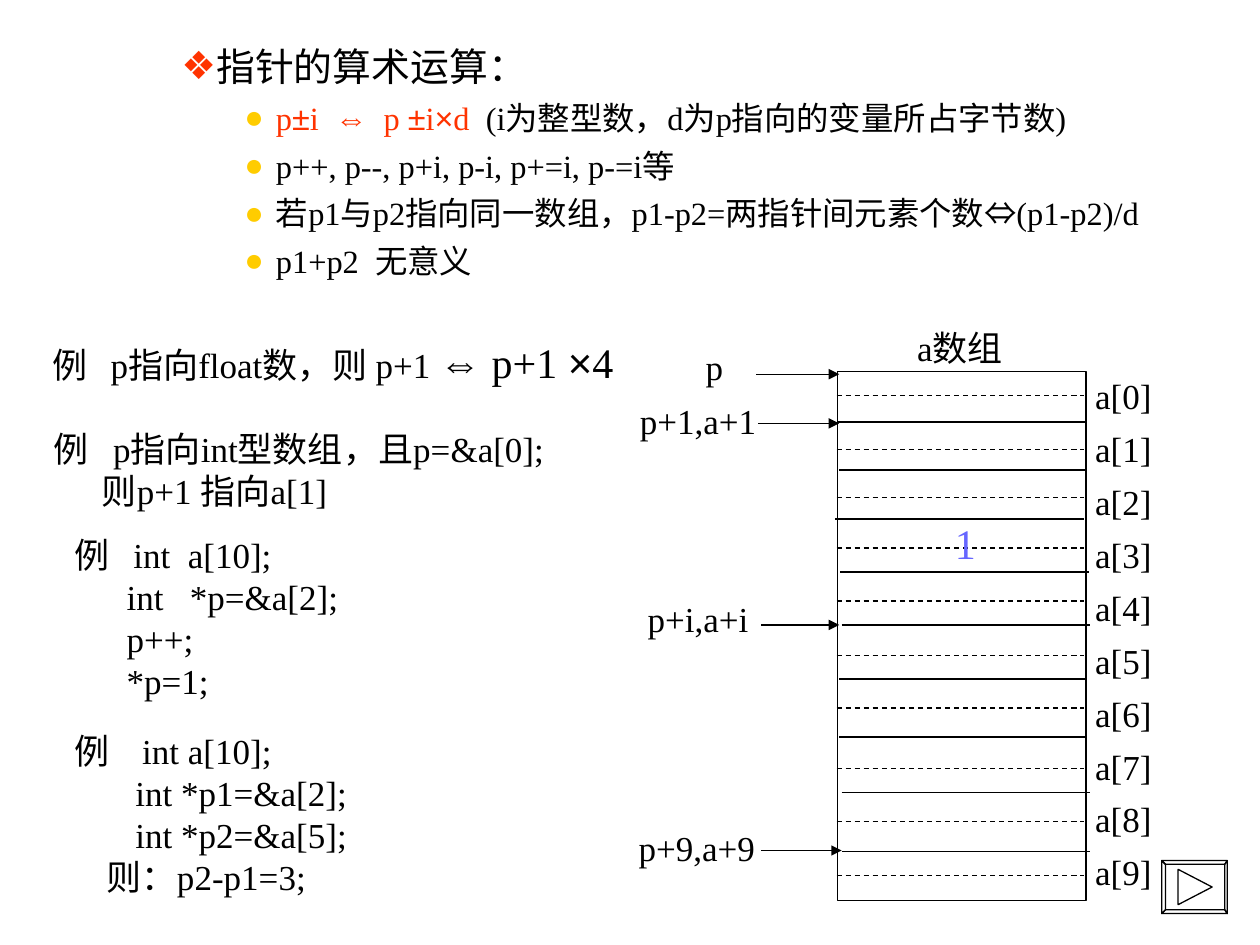
from lxml import etree
from pptx import Presentation
from pptx import util as u
from pptx.dml import color
from pptx.enum import dml, shapes, text
from pptx.oxml import ns

BLACK, RED, YELLOW, BLUE = "000000", "FF3300", "FFCC00", "6666FF"
SERIF, SANS = "Times New Roman", "Arial"
LABEL_HEIGHT = 0.44


def rgb(value):
    """Return the colour for a hex string."""
    return color.RGBColor.from_string(value)


def add_element(parent, tag, **attributes):
    """Append a drawing element to a parent and return it."""
    return etree.SubElement(parent, ns.qn(f"a:{tag}"), attributes)


def add_run(paragraph, words, size, font=SERIF, colour=BLACK):
    """Append one formatted run to a paragraph."""
    run = paragraph.add_run()
    run.text = words
    run.font.size = u.Pt(size)
    run.font.name = font
    run.font.color.rgb = rgb(colour)


def add_bullet(paragraph, symbol, colour, indent):
    """Give a paragraph a coloured bullet with a hanging indent."""
    properties = paragraph._p.get_or_add_pPr()
    properties.set("marL", str(u.Inches(indent)))
    properties.set("indent", str(u.Inches(-0.25)))
    add_element(add_element(properties, "buClr"), "srgbClr", val=colour)
    add_element(properties, "buSzPct", val="100000")
    add_element(properties, "buFont", typeface=SANS)
    add_element(properties, "buChar", char=symbol)


def add_tab(paragraph, position):
    """Set one left tab stop in a paragraph."""
    tabs = add_element(paragraph._p.get_or_add_pPr(), "tabLst")
    add_element(tabs, "tab", pos=str(u.Inches(position)), algn="l")


def fill_list(placeholder):
    """Place the body placeholder and write the rules of pointer arithmetic."""
    placeholder.left, placeholder.top = u.Inches(0.34), u.Inches(0.29)
    placeholder.width, placeholder.height = u.Inches(9.43), u.Inches(2.13)
    frame = placeholder.text_frame
    frame.auto_size = text.MSO_AUTO_SIZE.NONE
    frame.vertical_anchor = text.MSO_ANCHOR.TOP
    heading = frame.paragraphs[0]
    heading.level = 1
    add_bullet(heading, "❖", RED, 1.25)
    heading.space_before = u.Pt(0)
    add_run(heading, "指针的算术运算：", 22.2)
    formula = [("p", SERIF), ("±", SANS), ("i  ", SERIF), ("⇔", SANS),
               ("  p ", SERIF), ("±", SANS), ("i", SERIF), ("×", SANS), ("d", SERIF)]
    rules = [
        [(words, font, RED) for words, font in formula]
        + [("  (i为整型数，d为p指向的变量所占字节数)",)],
        [("p++, p--, p+i, p-i, p+=i, p-=i等",)],
        [("若p1与p2指向同一数组，p1-p2=两指针间元素个数",), ("⇔", SANS), ("(p1-p2)/d",)],
        [("p1+p2  无意义",)],
    ]
    for rule in rules:
        paragraph = frame.add_paragraph()
        paragraph.level = 2
        add_bullet(paragraph, "●", YELLOW, 1.75)
        paragraph.space_before = u.Pt(5)
        for words, *style in rule:
            add_run(paragraph, words, 18.5, *style)


def add_text_box(slide, left, top, width, height, anchor=text.MSO_ANCHOR.MIDDLE):
    """Add a text box of fixed size and return its text frame."""
    box = slide.shapes.add_textbox(*map(u.Inches, (left, top, width, height)))
    frame = box.text_frame
    frame.word_wrap = True
    frame.auto_size = text.MSO_AUTO_SIZE.NONE
    frame.margin_right = 0
    frame.vertical_anchor = anchor
    return frame


def add_example(slide, place, tab, lines, indent=0):
    """Add an example whose last line may be indented."""
    frame = add_text_box(slide, *place)
    paragraph = frame.paragraphs[0]
    add_tab(paragraph, tab)
    add_run(paragraph, lines[0], 20)
    for line in lines[1:]:
        paragraph = frame.add_paragraph()
        add_run(paragraph, line, 20)
    if indent:
        paragraph._p.get_or_add_pPr().set("marL", str(u.Inches(indent)))
    return frame


def add_label(slide, words, left, top, width):
    """Add a centred label beside the array."""
    frame = add_text_box(slide, left, top, width, LABEL_HEIGHT)
    frame.margin_left = 0
    paragraph = frame.paragraphs[0]
    paragraph.alignment = text.PP_ALIGN.CENTER
    add_run(paragraph, words, 20)


def add_line(slide, left, right, y, dashed=False, arrow=False):
    """Add a thin horizontal line, dashed or with an arrowhead if asked."""
    line = slide.shapes.add_connector(
        shapes.MSO_CONNECTOR.STRAIGHT, *map(u.Inches, (left, y, right, y)))
    line.line.color.rgb = rgb(BLACK)
    line.line.width = u.Pt(0.75)
    if dashed:
        line.line.dash_style = dml.MSO_LINE.DASH
    if arrow:
        add_element(line.line._get_or_add_ln(), "tailEnd", type="triangle")
    add_element(line._element.spPr, "effectLst")


def outline(shape):
    """Give a shape a thin black outline and no shadow."""
    shape.shadow.inherit = False
    shape.line.color.rgb = rgb(BLACK)
    shape.line.width = u.Pt(0.75)


def add_array(slide):
    """Draw the array with its cells, element names and pointers."""
    block = slide.shapes.add_shape(
        shapes.MSO_SHAPE.RECTANGLE, *map(u.Inches, (6.65, 2.95, 1.97, 4.2)))
    block.fill.solid()
    block.fill.fore_color.rgb = rgb("FFFFFF")
    outline(block)
    dividers = [(6.65, 3.35), (6.66, 3.73), (6.63, 4.12), (6.67, 4.54), (6.68, 4.96),
                (6.66, 5.39), (6.66, 5.85), (6.68, 6.29), (6.68, 6.76)]
    for left, y in dividers:
        add_line(slide, left, left + 1.97, y)
    for index in range(10):
        add_label(slide, f"a[{index}]", 8.59, 2.92 + 0.42 * index, 0.65)
    add_label(slide, "a数组", 7.15, 2.54, 0.94)
    pointers = [("p", 5.5, 2.69, 0.34, 6, 6.66, 2.97),
                ("p+1,a+1", 4.98, 3.12, 1.12, 6.02, 6.66, 3.36),
                ("p+i,a+i", 5.04, 4.69, 1, 6.04, 6.66, 4.96),
                ("p+9,a+9", 4.97, 6.51, 1.12, 6.04, 6.68, 6.75)]
    for words, left, top, width, start, end, y in pointers:
        add_line(slide, start, end, y, arrow=True)
        add_label(slide, words, left, top, width)
    for y in (3.14, 3.57, 3.95, 4.35, 4.77, 5.2, 5.62, 6.1, 6.52, 6.95):
        add_line(slide, 6.64, 8.6, y, dashed=True)


def add_next_button(slide):
    """Draw the bevelled button with its forward triangle."""
    outer = [(9.22, 6.83), (9.74, 6.83), (9.74, 7.25), (9.22, 7.25)]
    inner = [(9.25, 6.86), (9.72, 6.86), (9.72, 7.22), (9.25, 7.22)]
    sides = [[outer[i], outer[(i + 1) % 4], inner[(i + 1) % 4], inner[i]]
             for i in range(4)]
    triangle = [(9.35, 6.9), (9.62, 7.04), (9.35, 7.18)]
    builder = slide.shapes.build_freeform(*map(u.Inches, outer[0]))
    for contour in [outer, *sides, triangle]:
        points = [(u.Inches(x), u.Inches(y)) for x, y in contour]
        if contour is not outer:
            builder.move_to(*points[0])
        builder.add_line_segments(points[1:], close=True)
    button = builder.convert_to_shape()
    button.fill.background()
    outline(button)


def main():
    """Build the slide on pointer arithmetic and save it."""
    presentation = Presentation()
    presentation.slide_width, presentation.slide_height = u.Inches(10), u.Inches(7.5)
    slide = presentation.slides.add_slide(presentation.slide_layouts[1])
    title = slide.shapes.title._element
    title.getparent().remove(title)
    fill_list(slide.placeholders[1])
    frame = add_example(slide, (0.32, 2.62, 4.97, 0.5), 0.46,
                        ["例\tp指向float数，则 p+1 "])
    for words, font in [("⇔", SANS), (" p+1 ", SERIF), ("×", SANS), ("4", SERIF)]:
        add_run(frame.paragraphs[0], words, 24, font)
    add_example(slide, (0.33, 3.34, 4.35, 0.77), 0.47,
                ["例\tp指向int型数组，且p=&a[0];", "则p+1 指向a[1]"], 0.38)
    add_example(slide, (0.49, 4.18, 2.29, 1.44), 0.47,
                ["例\tint  a[10];", "      int   *p=&a[2];", "      p++;", "      *p=1;"])
    add_example(slide, (0.49, 5.74, 2.36, 1.44, text.MSO_ANCHOR.TOP), 0.54,
                ["例\tint a[10];", "       int *p1=&a[2];", "       int *p2=&a[5];",
                 "则：p2-p1=3;"], 0.26)
    add_next_button(slide)
    add_array(slide)
    value = add_text_box(slide, 7.48, 4.06, 0.36, 0.5, text.MSO_ANCHOR.TOP)
    add_run(value.paragraphs[0], "1", 24, SERIF, BLUE)
    presentation.save("out.pptx")


if __name__ == "__main__":
    main()
